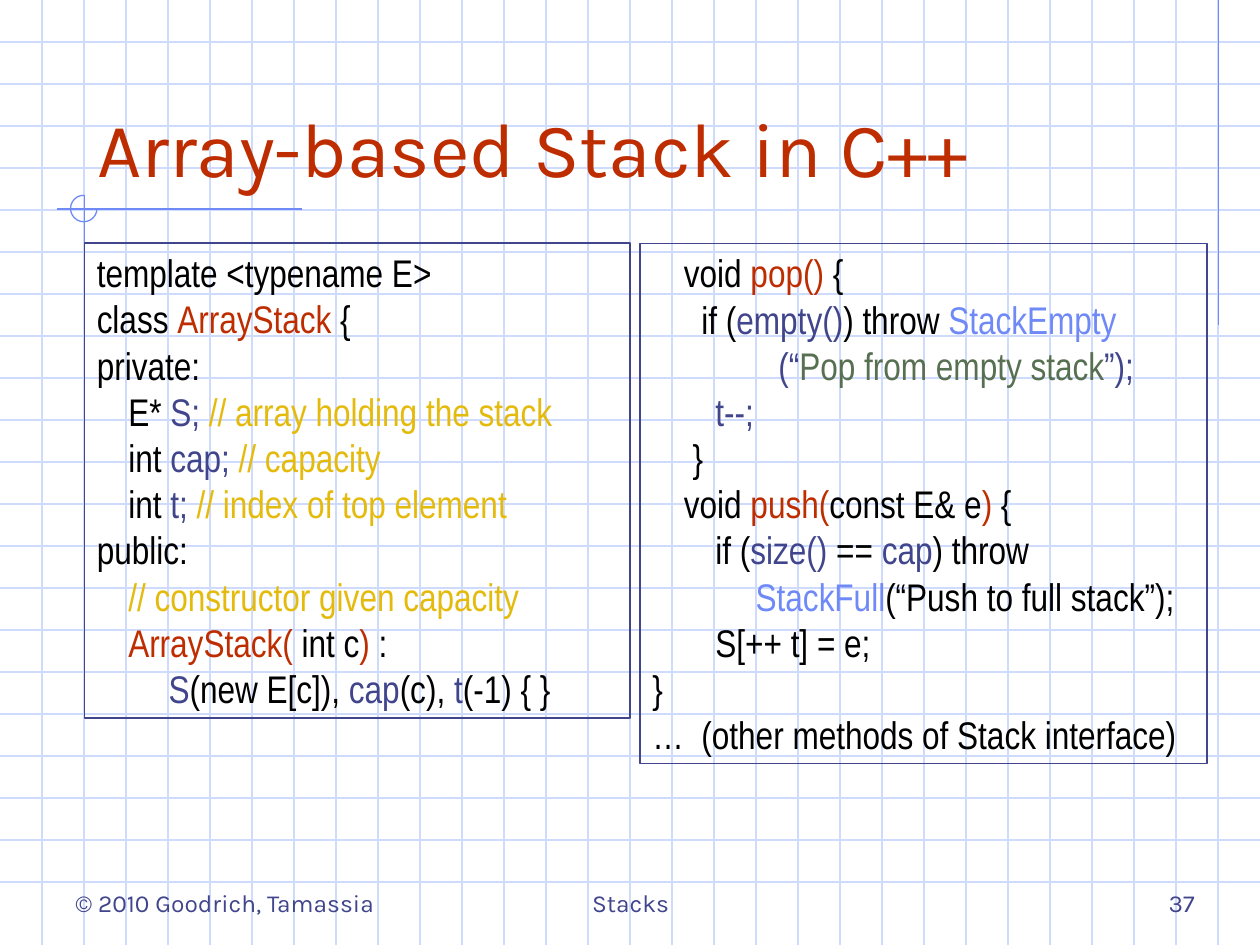
from dataclasses import dataclass

from lxml import etree
from pptx import Presentation
from pptx import util as u
from pptx.dml import color
from pptx.enum import shapes, text
from pptx.oxml import ns

BLACK, NAVY, RED = "000000", "40458C", "BE2D00"
GOLD, BLUE, GREEN, GRID = "E4BB0C", "6F89F7", "577052", "CFDBFD"
W, H, STEP = 10, 7.5, 1 / 3
ALIGN = text.PP_ALIGN

Paragraph = list[tuple[str, str]]


@dataclass
class CodePanel:
    left: float
    width: float
    height: float
    paragraphs: list[Paragraph]


@dataclass
class FooterItem:
    words: str
    left: float
    width: float
    align: ALIGN


PANELS = [
    CodePanel(0.67, 4.33, 3.77, [
        [("template <typename E> \nclass ", BLACK), ("ArrayStack", RED), (" {\nprivate:", BLACK)],
        [("\t", NAVY), ("E*", BLACK), (" S;", NAVY), (" // array holding the stack\n\t", GOLD),
         ("int", BLACK), (" cap;", NAVY), (" // capacity", GOLD)],
        [("\t", GOLD), ("int", BLACK), (" t;", NAVY), (" // index of top element", GOLD)],
        [("public:", BLACK)],
        [("\t", NAVY), ("// constructor given capacity\n\t", GOLD), ("ArrayStack( ", RED),
         ("int c", BLACK), (") ", RED), (":\n\t\t ", BLACK), ("S", NAVY),
         ("(new E[c]), ", BLACK), ("cap", NAVY), ("(c), ", BLACK), ("t", NAVY),
         ("(-1) { }", BLACK)],
    ]),
    CodePanel(5.08, 4.5, 4.13, [
        [("\t", NAVY), ("void ", BLACK), ("pop()", RED), (" {\n\t  if (", BLACK),
         ("empty()", NAVY), (") throw ", BLACK), ("StackEmpty\n\t\t\t\t", BLUE), ("(“", NAVY),
         ("Pop from empty stack", GREEN), ("”);\n\t\tt--;\n\t ", NAVY), ("}", BLACK)],
        [("\tvoid ", BLACK), ("push(", RED), ("const E& e", BLACK), (")", RED), (" {", BLACK)],
        [("\t\tif (", BLACK), ("size() ", NAVY), ("== ", BLACK), ("cap", NAVY),
         (") throw", BLACK)],
        [("\t\t\t", BLACK), (" StackFull", BLUE), ("(“Push to full stack”);", BLACK)],
        [("\t\tS[++ t] = e;", BLACK)],
        [("}", BLACK)],
        [("…  (other methods of Stack interface)", BLACK)],
    ]),
]

FOOTER = [
    FooterItem("Stacks", 3.42, 3.17, ALIGN.CENTER),
    FooterItem("37", 7.5, 2.08, ALIGN.RIGHT),
    FooterItem("© 2010 Goodrich, Tamassia", 0.5, 2.83, ALIGN.LEFT),
]


def rgb(value: str) -> color.RGBColor:
    return color.RGBColor.from_string(value)


def box(left: float, top: float, width: float, height: float) -> list[u.Length]:
    return [u.Inches(v) for v in (left, top, width, height)]


def set_line(sp, value: str) -> None:
    sp.line.color.rgb = rgb(value)
    sp.line.width = u.Pt(0.75)


def add_line(s, x1: float, y1: float, x2: float, y2: float, value: str) -> None:
    sp = s.shapes.add_connector(shapes.MSO_CONNECTOR.STRAIGHT, *box(x1, y1, x2, y2))
    set_line(sp, value)
    etree.SubElement(sp.element.spPr, ns.qn("a:effectLst"))


def add_run(p, words: str, font: str, size: float, value: str) -> None:
    r = p.add_run()
    r.text = words
    r.font.name = font
    r.font.size = u.Pt(size)
    r.font.color.rgb = rgb(value)


def add_tabs(p, gap: float, count: int) -> None:
    tabs = etree.SubElement(p._p.get_or_add_pPr(), ns.qn("a:tabLst"))
    for i in range(count):
        etree.SubElement(tabs, ns.qn("a:tab"), pos=str(u.Inches(i * gap)), algn="l")


def add_background(s) -> None:
    for i in range(1, round(H / STEP)):
        add_line(s, 0, i * STEP, W, i * STEP, GRID)
    for i in range(1, round(W / STEP)):
        add_line(s, i * STEP, 0, i * STEP, H, GRID)
    add_line(s, 9.67, 0, 9.67, 2.58, BLUE)
    add_line(s, 2.4, 1.66, 0.45, 1.66, BLUE)
    add_line(s, 0.67, 1.55, 0.67, 4.09, BLUE)
    arc = s.shapes.add_shape(shapes.MSO_SHAPE.ARC, *box(0.56, 1.55, 0.21, 0.21))
    arc.shadow.inherit = False
    arc.adjustments[0] = 0
    arc.adjustments[1] = 162
    arc.fill.background()
    set_line(arc, BLUE)


def add_title(s, words: str) -> None:
    sp = s.shapes.title
    sp.left, sp.top, sp.width, sp.height = box(0.67, 0.33, 8.5, 1.25)
    tf = sp.text_frame
    tf.vertical_anchor = text.MSO_ANCHOR.BOTTOM
    tf.auto_size = text.MSO_AUTO_SIZE.NONE
    p = tf.paragraphs[0]
    p.alignment = ALIGN.LEFT
    add_run(p, words, "Karla", 44, RED)
    s.shapes.element.append(sp.element)


def add_code_panel(s, panel: CodePanel) -> None:
    sp = s.shapes.add_shape(shapes.MSO_SHAPE.RECTANGLE,
                            *box(panel.left, 1.93, panel.width, panel.height))
    sp.shadow.inherit = False
    sp.fill.background()
    set_line(sp, NAVY)
    tf = sp.text_frame
    tf.word_wrap = True
    tf.auto_size = text.MSO_AUTO_SIZE.SHAPE_TO_FIT_TEXT
    tf.vertical_anchor = text.MSO_ANCHOR.TOP
    for i, pieces in enumerate(panel.paragraphs):
        p = tf.add_paragraph() if i else tf.paragraphs[0]
        p.alignment = ALIGN.LEFT
        add_tabs(p, 0.25, 8)
        for words, value in pieces:
            for n, part in enumerate(words.split("\n")):
                if n:
                    p.add_line_break()
                if part:
                    add_run(p, part, "Arial Narrow", 22, value)


def add_footer_item(s, item: FooterItem) -> None:
    sp = s.shapes.add_textbox(*box(item.left, 6.83, item.width, 0.5))
    tf = sp.text_frame
    tf.word_wrap = True
    tf.vertical_anchor = text.MSO_ANCHOR.BOTTOM
    p = tf.paragraphs[0]
    p.alignment = item.align
    add_run(p, item.words, "Karla", 14, NAVY)


def main() -> None:
    prs = Presentation()
    prs.slide_width, prs.slide_height = u.Inches(W), u.Inches(H)
    s = prs.slides.add_slide(prs.slide_layouts[5])
    add_background(s)
    add_title(s, "Array-based Stack in C++")
    for panel in PANELS:
        add_code_panel(s, panel)
    for item in FOOTER:
        add_footer_item(s, item)
    prs.save("out.pptx")


if __name__ == "__main__":
    main()
